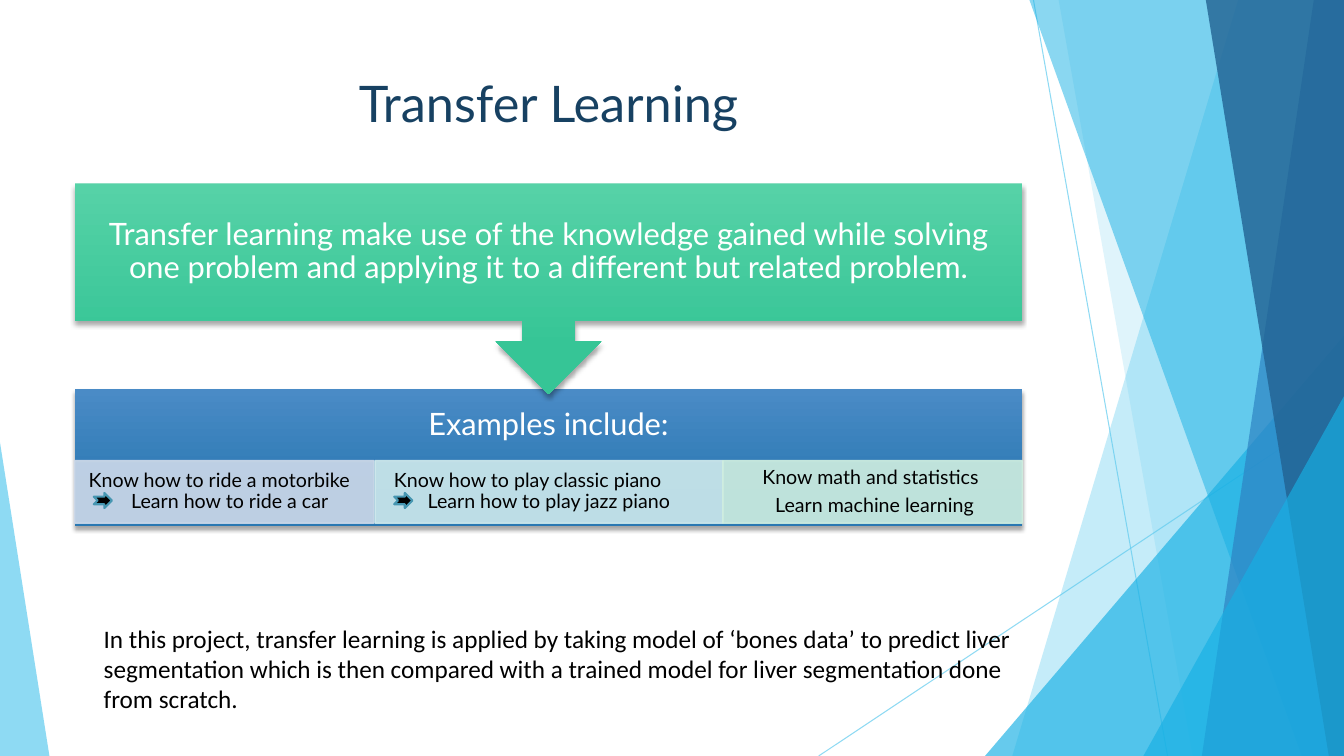
from lxml import etree
from pptx import Presentation
from pptx.dml.color import RGBColor
from pptx.enum.shapes import MSO_CONNECTOR, MSO_SHAPE as SHAPE
from pptx.enum.text import MSO_ANCHOR as ANCHOR, MSO_AUTO_SIZE, PP_ALIGN as ALIGN
from pptx.oxml import parse_xml
from pptx.oxml.ns import nsdecls, qn
from pptx.util import Inches, Pt

BLACK = RGBColor(0x00, 0x00, 0x00)
WHITE = RGBColor(0xFF, 0xFF, 0xFF)
NAVY = RGBColor(0x17, 0x41, 0x62)
SKY = RGBColor(0x5F, 0xCB, 0xEF)
CYAN = RGBColor(0x17, 0xB0, 0xE4)
BLUE = RGBColor(0x2E, 0x83, 0xC3)
DEEP_BLUE = RGBColor(0x22, 0x62, 0x92)
ARROW_LINE = RGBColor(0x46, 0x96, 0xB1)
HEADER_TOP = RGBColor(0x4A, 0x8B, 0xC6)
HEADER_LOW = RGBColor(0x2A, 0x78, 0xB2)
GREEN_TOP = RGBColor(0x56, 0xD2, 0xA7)
GREEN_LOW = RGBColor(0x36, 0xC5, 0x96)
CELL_BLUE = RGBColor(0xCD, 0xD9, 0xE9)
CELL_TEAL = RGBColor(0xCE, 0xE9, 0xEC)
CELL_GREEN = RGBColor(0xCF, 0xEE, 0xE0)

SHADOW = (
    f'<a:effectLst {nsdecls("a")}><a:outerShdw blurRad="38100" dist="25400" dir="5400000" '
    'rotWithShape="0"><a:srgbClr val="000000"><a:alpha val="35000"/></a:srgbClr>'
    '</a:outerShdw></a:effectLst>'
)


def fade(sp, percent):
    """Give every colour of the shape the same opacity."""
    for color in sp._element.spPr.iter(qn("a:srgbClr")):
        etree.SubElement(color, qn("a:alpha")).set("val", str(percent * 1000))


def write(sp, *lines, size=14, font="Lato", color=BLACK, align=ALIGN.CENTER,
          anchor=ANCHOR.MIDDLE, insets=(0.1, 0.05, 0.1, 0.05), spacing=0.9, after=0):
    """Fill a shape with paragraphs; each line is (text, left indent, right indent)."""
    tf = sp.text_frame
    tf.word_wrap = True
    tf.auto_size = MSO_AUTO_SIZE.NONE
    tf.vertical_anchor = anchor
    tf.margin_left, tf.margin_top, tf.margin_right, tf.margin_bottom = map(Inches, insets)
    for i, (text, left, right) in enumerate(lines):
        p = tf.add_paragraph() if i else tf.paragraphs[0]
        p.alignment = align
        p.line_spacing = spacing
        p.space_before = Pt(0)
        p.space_after = Pt(after if i < len(lines) - 1 else 0)
        pPr = p._p.get_or_add_pPr()
        pPr.set("marL", str(Inches(left)))
        pPr.set("marR", str(Inches(right)))
        r = p.add_run()
        r.text = text
        r.font.size = Pt(size)
        r.font.name = font
        r.font.color.rgb = color


prs = Presentation()
prs.slide_width, prs.slide_height = Inches(13.33), Inches(7.5)
slide = prs.slides.add_slide(prs.slide_layouts[5])
shapes = slide.shapes

# Thin background lines
for x1, y1, x2, y2 in [(10.25, 0, 11.58, 7.5), (13.33, 4.03, 8.12, 7.5)]:
    line = shapes.add_connector(MSO_CONNECTOR.STRAIGHT, *map(Inches, (x1, y1, x2, y2)))
    line.line.color.rgb = SKY
    line.line.width = Pt(0.75)
    fade(line, 70)
    etree.SubElement(line._element.spPr, qn("a:effectLst"))

# Background facets: bands run from the top edge (two x) to the bottom edge (two x),
# triangles have a box and the place of their tip
facets = [
    ("band", (12.28, 13.33, 13.33, 10.04), None, SKY, 36),
    ("band", (10.5, 13.33, 13.33, 11.83), None, SKY, 20),
    ("triangle", (9.77, 3.33, 3.56, 4.17), 1, CYAN, 66),
    ("band", (10.21, 13.33, 13.33, 12.91), None, CYAN, 50),
    ("band", (13.03, 13.33, 13.33, 11.92), None, BLUE, 70),
    ("band", (11.96, 13.33, 13.33, 13.18), None, DEEP_BLUE, 80),
    ("triangle", (11.34, 3.93, 1.99, 3.57), 1, CYAN, 66),
    ("triangle", (0, 4.39, 0.49, 3.11), 0, SKY, 70),
]
for kind, numbers, tip, color, opacity in facets:
    if kind == "band":
        points = [(Inches(x), Inches(y)) for x, y in zip(numbers, (0, 0, 7.5, 7.5))]
        builder = shapes.build_freeform(*points[0])
        builder.add_line_segments(points[1:], close=True)
        sp = builder.convert_to_shape()
    else:
        sp = shapes.add_shape(SHAPE.ISOSCELES_TRIANGLE, *map(Inches, numbers))
        sp.adjustments[0] = tip
    sp.shadow.inherit = False
    sp.fill.solid()
    sp.fill.fore_color.rgb = color
    sp.line.fill.background()
    fade(sp, opacity)

# Title
title = shapes.title
title.left, title.top, title.width, title.height = map(Inches, (0.74, 0.67, 9.4, 1.44))
write(title, ("Transfer Learning", 0, 0), size=36, color=NAVY, anchor=ANCHOR.TOP, spacing=1.0)

# Examples panel, then the definition callout that points to it
panels = [
    (SHAPE.RECTANGLE, 3.86, 1.36, HEADER_TOP, HEADER_LOW, 0.8, "Examples include:"),
    (SHAPE.DOWN_ARROW_CALLOUT, 1.82, 2.09, GREEN_TOP, GREEN_LOW, 0.17,
     "Transfer learning make use of the knowledge gained while solving "
     "one problem and applying it to a different but related problem."),
]
for preset, top, height, light, dark, bottom_inset, text in panels:
    sp = shapes.add_shape(preset, *map(Inches, (0.74, top, 9.4, height)))
    sp.fill.gradient()
    sp.fill.gradient_angle = 270
    for stop, color, position in zip(sp.fill.gradient_stops, (light, dark), (0, 0.78)):
        stop.color.rgb = color
        stop.position = position
    sp.line.fill.background()
    sp._element.spPr.append(parse_xml(SHADOW))
    write(sp, (text, 0, 0), size=22, color=WHITE, insets=(0.17, 0.17, 0.17, bottom_inset))

# Example cells
cells = [
    (0.74, 2.97, CELL_BLUE, 0, ("Know how to ride a motorbike", 0, 0.1),
     ("Learn how to ride a car", 0.11, 0)),
    (3.72, 3.45, CELL_TEAL, 0, ("Know how to play classic piano", 0, 0.42),
     ("Learn how to play jazz piano", 0, 0)),
    (7.17, 2.97, CELL_GREEN, 5, ("Know math and statistics", 0, 0.04),
     ("Learn machine learning", 0.04, 0)),
]
for left, width, color, after, known, learned in cells:
    sp = shapes.add_shape(SHAPE.RECTANGLE, *map(Inches, (left, 4.57, width, 0.62)))
    sp.shadow.inherit = False
    sp.fill.solid()
    sp.fill.fore_color.rgb = color
    sp.line.color.rgb = color
    sp.line.width = Pt(1)
    fade(sp, 90)
    write(sp, known, learned, insets=(0.11, 0.02, 0.11, 0.02), after=after)

# Small arrows in the first two cells
for left in (0.93, 3.91):
    sp = shapes.add_shape(SHAPE.NOTCHED_RIGHT_ARROW, *map(Inches, (left, 4.89, 0.18, 0.15)))
    sp.shadow.inherit = False
    sp.fill.solid()
    sp.fill.fore_color.rgb = BLACK
    sp.line.color.rgb = ARROW_LINE
    sp.line.width = Pt(1.5)

# Project note
note = shapes.add_textbox(*map(Inches, (0.93, 6.13, 9.21, 1.31)))
write(note, ("In this project, transfer learning is applied by taking model of ‘bones data’ to "
             "predict liver segmentation which is then compared with a trained model for liver "
             "segmentation done from scratch.", 0, 0),
      size=18, font="Calibri", align=ALIGN.LEFT, anchor=ANCHOR.TOP, spacing=1.0)

prs.save("out.pptx")
